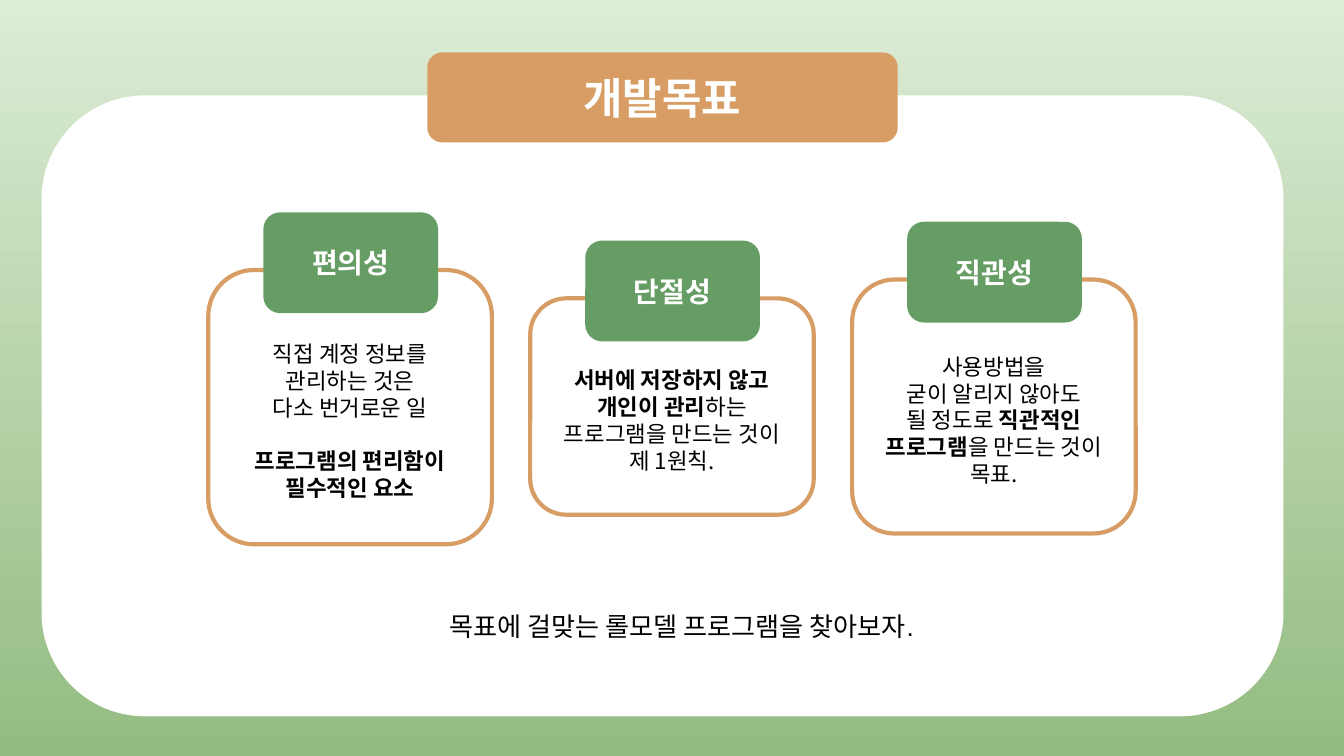
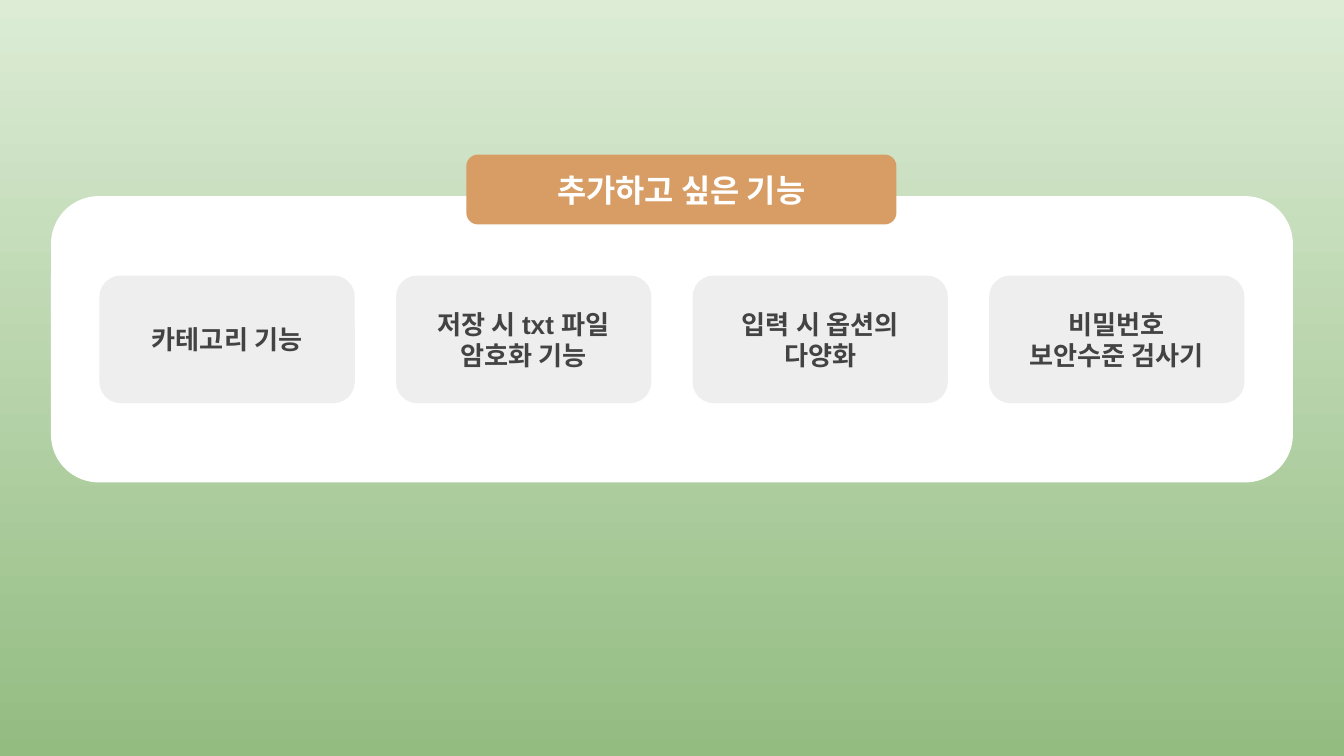
"""Build two slides on a program's goals and the features to add."""
from lxml.etree import SubElement
from pptx import Presentation
from pptx.dml.color import RGBColor
from pptx.enum.shapes import MSO_SHAPE
from pptx.enum.text import MSO_ANCHOR, MSO_AUTO_SIZE, PP_ALIGN
from pptx.oxml.ns import qn
from pptx.util import Inches, Pt

WHITE = RGBColor(0xFF, 0xFF, 0xFF)
BLACK = RGBColor(0, 0, 0)
PALE = RGBColor(0xDC, 0xEC, 0xD5)
LEAF = RGBColor(0x93, 0xBC, 0x81)
GREEN = RGBColor(0x66, 0x9D, 0x64)
TAN = RGBColor(0xD7, 0x9D, 0x64)
GREY = RGBColor(0xEE, 0xEE, 0xEE)
DARK = RGBColor(0x43, 0x43, 0x43)
NOTO = "Noto Sans CJK KR"
ARIAL = "Arial"


def write(shape, text, size=12, font=NOTO, color=BLACK, bold=False, top=0.1, anchor=MSO_ANCHOR.MIDDLE):
    """Fill a shape with centred lines; stars switch bold and an empty line leaves a gap."""
    frame = shape.text_frame
    frame.word_wrap = True
    frame.auto_size = MSO_AUTO_SIZE.NONE
    frame.vertical_anchor = anchor
    frame.margin_left = frame.margin_right = frame.margin_bottom = Inches(0.1)
    frame.margin_top = Inches(top)
    for block, part in enumerate(text.split("\n\n")):
        for row, line in enumerate(part.split("\n")):
            para = frame.add_paragraph() if block or row else frame.paragraphs[0]
            para.alignment = PP_ALIGN.CENTER
            if block and not row:
                para.space_before = Pt(size * 1.2)
            for turn, piece in enumerate(line.split("*")):
                if piece:
                    run = para.add_run()
                    run.text = piece
                    run.font.name = font
                    run.font.size = Pt(size)
                    run.font.bold = bold or turn % 2 == 1
                    run.font.color.rgb = color
                    run.font._element.set("kern", "0")
                    SubElement(run.font._element, qn("a:ea"), typeface=NOTO)


def box(slide, place, fill=None, line=None):
    """Add a rounded box with a fill, an outline or both."""
    shape = slide.shapes.add_shape(MSO_SHAPE.ROUNDED_RECTANGLE, *map(Inches, place))
    shape.shadow.inherit = False
    if fill is None:
        shape.fill.background()
    else:
        shape.fill.solid()
        shape.fill.fore_color.rgb = fill
    if line is None:
        shape.line.fill.background()
    else:
        shape.line.color.rgb = line
        shape.line.width = Pt(2.25)
    return shape


deck = Presentation()
deck.slide_width = Inches(10)
deck.slide_height = deck.slide_width * 9 // 16
back = deck.slide_master.background.fill
back.gradient()
back.gradient_angle = 270
for stop, color, spot in zip(back.gradient_stops, (PALE, LEAF), (0, 1)):
    stop.color.rgb = color
    stop.position = spot

heads = [
    ("개발목표", 23, (3.18, 0.39, 3.5, 0.67), (0.31, 0.71, 9.24, 4.62)),
    ("추가하고 싶은 기능", 17, (3.47, 1.15, 3.2, 0.52), (0.38, 1.46, 9.24, 2.13)),
]
slides = []
for text, size, place, card in heads:
    slide = deck.slides.add_slide(deck.slide_layouts[5])
    title = slide.shapes.title
    title.left, title.top, title.width, title.height = map(Inches, place)
    write(title, text, size=size, color=WHITE, bold=True)
    for spot, fill in ((card, WHITE), (place, TAN)):
        title.element.addprevious(box(slide, spot, fill).element)
    slides.append(slide)
goal, extra = slides

goals = [
    ("편의성", 1.58, 2.04,
     "직접 계정 정보를\n관리하는 것은\n다소 번거로운 일\n\n*프로그램의 편리함이*\n*필수적인 요소*"),
    ("단절성", 1.79, 1.61,
     "*서버에 저장하지 않고*\n*개인이 관리*하는 프로그램을 만드는 것이 제 1원칙."),
    ("직관성", 1.65, 1.89,
     "사용방법을\n굳이 알리지 않아도\n될 정도로 *직관적인*\n*프로그램*을 만드는 것이 목표."),
]
step = (6.34 - 1.55) / 2
for col, (name, top, high, text) in enumerate(goals):
    left = 1.55 + col * step
    write(box(goal, (left, top + 0.43, 2.11, high), line=TAN), text, top=0.3)
    write(box(goal, (left + 0.41, top, 1.3, 0.75), GREEN), name, size=15, color=WHITE, bold=True)

close = goal.shapes.add_textbox(*map(Inches, (2.18, 4.44, 5.78, 0.44)))
write(close, "목표에 걸맞는 롤모델 프로그램을 찾아보자.", size=14, font=ARIAL, anchor=MSO_ANCHOR.TOP)

wishes = ["카테고리 기능", "저장 시 txt 파일\n암호화 기능", "입력 시 옵션의 다양화", "비밀번호\n보안수준 검사기"]
step = (7.36 - 0.74) / 3
for col, text in enumerate(wishes):
    tile = box(extra, (0.74 + col * step, 2.05, 1.9, 0.95), GREY)
    write(tile, text, size=14, font=ARIAL, color=DARK, bold=True)

deck.save("out.pptx")
